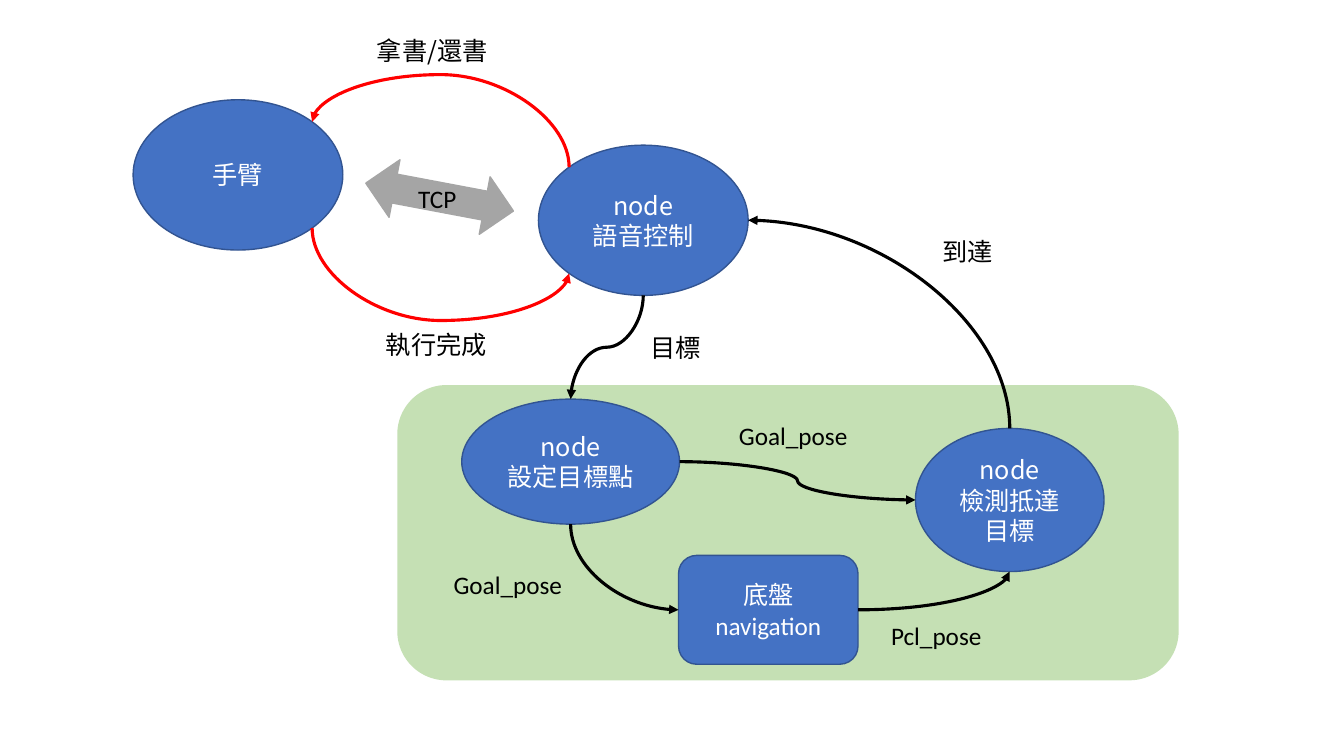
import dataclasses
import math

import lxml.etree
import pptx
import pptx.dml.color
import pptx.enum.shapes
import pptx.enum.text
import pptx.oxml.ns
import pptx.util

Inches = pptx.util.Inches
Preset = pptx.enum.shapes.MSO_SHAPE
qn = pptx.oxml.ns.qn


@dataclasses.dataclass(frozen=True)
class Theme:
    """Colours, fonts and sizes of the slide."""
    node: str = "4472C4"
    outline: str = "325491"
    panel: str = "C5E0B4"
    arrow: str = "A5A5A5"
    flow: str = "000000"
    arm_flow: str = "FF0000"
    light: str = "FFFFFF"
    dark: str = "000000"
    latin: str = "Calibri"
    cjk: str = "Noto Sans CJK SC"
    text_size: float = 18
    outline_width: float = 1
    flow_width: float = 2.25


@dataclasses.dataclass(frozen=True)
class Box:
    """A rectangle in inches."""
    left: float
    top: float
    width: float
    height: float

    def inner(self, left, top, width, height):
        """Return a box offset from this one's top left corner."""
        return Box(self.left + left, self.top + top, width, height)

    def site(self, across, down):
        """Return the point at the given offsets, in half sizes, from the centre."""
        return (self.left + self.width * (1 + across) / 2,
                self.top + self.height * (1 + down) / 2)

    def lengths(self):
        """Return the four measures as slide lengths."""
        return [Inches(value) for value in dataclasses.astuple(self)]


THEME = Theme()
DIAGONAL = math.sqrt(0.5)


def colour(value):
    """Turn a hex value into a colour."""
    return pptx.dml.color.RGBColor.from_string(value)


def add_span(para, text, ink, font):
    """Add one run of text to a paragraph."""
    span = para.add_run()
    span.text = text
    span.font.size = pptx.util.Pt(THEME.text_size)
    span.font.color.rgb = colour(ink)
    span.font.name = font
    east = lxml.etree.SubElement(span.font._element, qn("a:ea"))
    east.set("typeface", font)


def add_block(page, preset, box, fill, outline=None, paras=()):
    """Add a filled shape whose paragraphs are lists of text and font pairs."""
    block = page.shapes.add_shape(preset, *box.lengths())
    block.shadow.inherit = False
    block.fill.solid()
    block.fill.fore_color.rgb = colour(fill)
    if outline:
        block.line.color.rgb = colour(outline)
        block.line.width = pptx.util.Pt(THEME.outline_width)
    else:
        block.line.fill.background()
    frame = block.text_frame
    frame.word_wrap = True
    frame.vertical_anchor = pptx.enum.text.MSO_ANCHOR.MIDDLE
    for index, spans in enumerate(paras):
        para = frame.add_paragraph() if index else frame.paragraphs[0]
        para.alignment = pptx.enum.text.PP_ALIGN.CENTER
        for text, font in spans:
            add_span(para, text, THEME.light, font)
    return block


def add_node(page, box, *lines):
    """Add an ellipse with one paragraph per line."""
    paras = [[(line, THEME.cjk)] for line in lines]
    add_block(page, Preset.OVAL, box, THEME.node, THEME.outline, paras)


def add_label(page, box, text, font):
    """Add a caption beside an arrow."""
    label = page.shapes.add_textbox(*box.lengths())
    frame = label.text_frame
    frame.word_wrap = True
    frame.auto_size = pptx.enum.text.MSO_AUTO_SIZE.SHAPE_TO_FIT_TEXT
    add_span(frame.paragraphs[0], text, THEME.dark, font)


def add_flow(page, start, end, bends, upright=True, ink=THEME.flow, bulge=None):
    """Add a curved arrow that leaves its start vertically when upright."""
    across, down = end[0] - start[0], end[1] - start[1]
    width, height = abs(across), abs(down)
    turn, flips = 0, ["flipV"] if down < 0 else []
    if upright:
        width, height = height, width
        turn = 90 if down > 0 and across < 0 else 270
        flips = ["flipH"] if down > 0 and across > 0 else flips
    left = (start[0] + end[0] - width) / 2
    top = (start[1] + end[1] - height) / 2
    flow = page.shapes.add_connector(
        pptx.enum.shapes.MSO_CONNECTOR.CURVE, Inches(left), Inches(top),
        Inches(left + width), Inches(top + height))
    flow.line.color.rgb = colour(ink)
    flow.line.width = pptx.util.Pt(THEME.flow_width)
    properties = flow.element.spPr
    frame = properties.find(qn("a:xfrm"))
    frame.set("rot", str(turn * 60000))
    for flip in flips:
        frame.set(flip, "1")
    geometry = properties.find(qn("a:prstGeom"))
    geometry.set("prst", f"curvedConnector{bends}")
    if bulge:
        guide = lxml.etree.SubElement(geometry.find(qn("a:avLst")), qn("a:gd"))
        guide.set("name", "adj1")
        guide.set("fmla", f"val {round(bulge * 100000)}")
    head = lxml.etree.SubElement(properties.find(qn("a:ln")), qn("a:tailEnd"))
    head.set("type", "triangle")
    lxml.etree.SubElement(properties, qn("a:effectLst"))


def add_arm_link(page, box):
    """Draw the arm and voice nodes with their exchange, returning the voice box."""
    arm = box.inner(0, 0.69, 2.08, 1.49)
    voice = box.inner(4.02, 1.14, 2.08, 1.49)
    add_node(page, arm, "手臂")
    add_node(page, voice, "node", "語音控制")
    for source, target, side, down in ((voice, arm, -1, -1), (arm, voice, 1, 1)):
        add_flow(page, source.site(side * DIAGONAL, down * DIAGONAL),
                 target.site(-side * DIAGONAL, down * DIAGONAL),
                 3, ink=THEME.arm_flow, bulge=2.04)
    add_label(page, box.inner(2.32, 0, 1.6, 0.4), "拿書/還書", THEME.cjk)
    add_label(page, box.inner(2.41, 2.92, 1.25, 0.4), "執行完成", THEME.cjk)
    arrow = add_block(page, Preset.UP_DOWN_ARROW, box.inner(2.75, 0.91, 0.58, 1.49),
                      THEME.arrow, THEME.arrow)
    arrow.rotation = 280.7
    add_label(page, box.inner(2.73, 1.47, 1.23, 0.4), "TCP", THEME.latin)
    return voice


def add_navigation(page, box):
    """Draw the navigation panel, returning its goal and arrival boxes."""
    add_block(page, Preset.ROUNDED_RECTANGLE, box, THEME.panel)
    goal = box.inner(0.64, 0.14, 2.16, 1.24)
    arrival = box.inner(5.14, 0.43, 1.87, 1.42)
    base = box.inner(2.79, 1.69, 1.78, 1.08)
    add_node(page, goal, "node", "設定目標點")
    add_node(page, arrival, "node", "檢測抵達目標")
    add_block(page, Preset.ROUNDED_RECTANGLE, base, THEME.node, THEME.outline,
              [[("底盤", THEME.cjk), ("navigation", THEME.latin)]])
    add_flow(page, goal.site(1, 0), arrival.site(-1, 0), 3, upright=False)
    add_flow(page, goal.site(0, 1), base.site(-1, 0), 2)
    add_flow(page, base.site(1, 0), arrival.site(0, 1), 2, upright=False)
    add_label(page, box.inner(3.29, 0.3, 1.31, 0.4), "Goal_pose", THEME.latin)
    add_label(page, box.inner(0.46, 1.78, 1.32, 0.4), "Goal_pose", THEME.latin)
    add_label(page, box.inner(4.8, 2.28, 1.36, 0.4), "Pcl_pose", THEME.latin)
    return goal, arrival


def add_goal_loop(page, voice, goal, arrival):
    """Link the voice node with the goal and arrival nodes."""
    add_flow(page, voice.site(0, 1), goal.site(0, -1), 3)
    add_flow(page, arrival.site(0, -1), voice.site(1, 0), 2)
    add_label(page, voice.inner(1.01, 1.81, 0.84, 0.4), "目標", THEME.cjk)
    add_label(page, voice.inner(3.91, 0.86, 0.79, 0.4), "到達", THEME.cjk)


def main():
    """Build the slide and save it."""
    deck = pptx.Presentation()
    deck.slide_width = Inches(13.33)
    deck.slide_height = Inches(7.5)
    page = deck.slides.add_slide(deck.slide_layouts[6])
    voice = add_arm_link(page, Box(1.32, 0.3, 6.1, 3.32))
    goal, arrival = add_navigation(page, Box(3.94, 3.82, 7.75, 2.93))
    add_goal_loop(page, voice, goal, arrival)
    deck.save("out.pptx")


if __name__ == "__main__":
    main()
